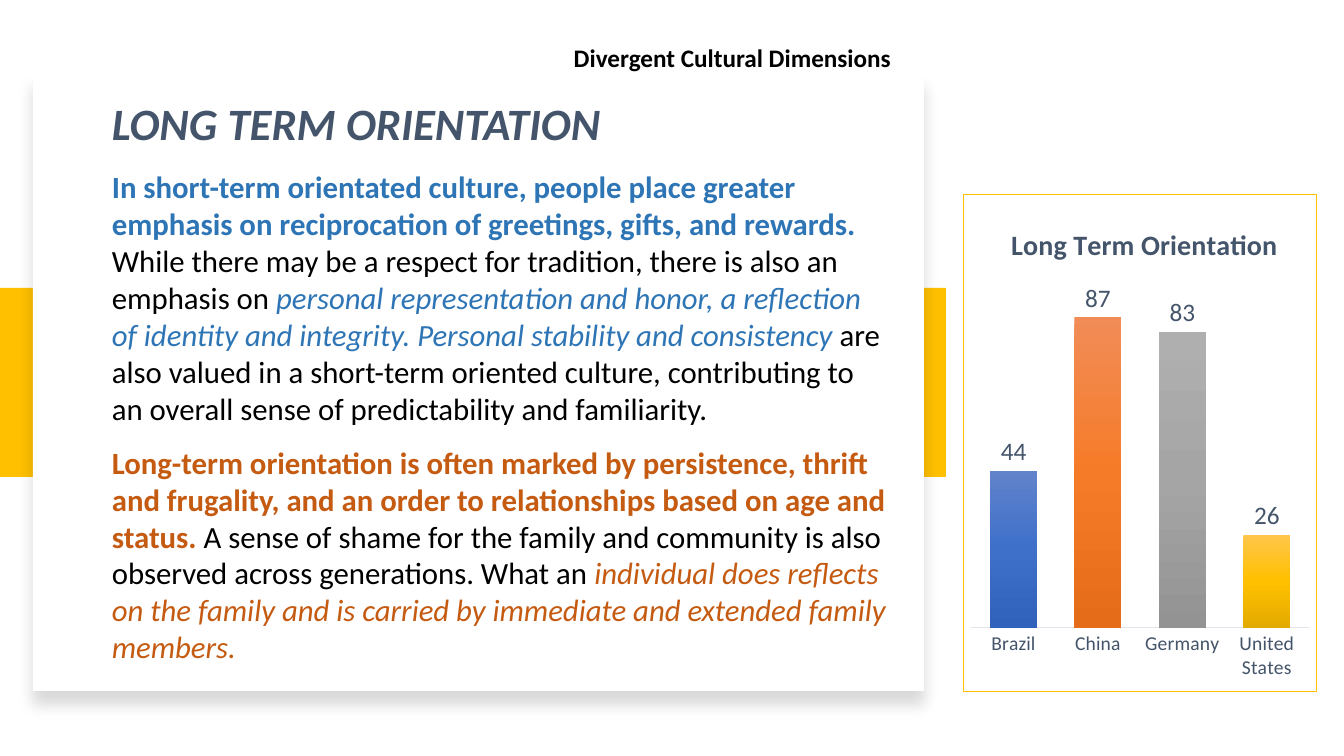
"""Builds the Long Term Orientation slide with its text card and column chart."""
from lxml import etree
from pptx import Presentation
from pptx import util as u
from pptx.chart.data import CategoryChartData
from pptx.dml.color import RGBColor
from pptx.enum import chart as c, shapes, text
from pptx.oxml import parse_xml
from pptx.oxml.ns import nsdecls, qn

BLACK = RGBColor(0x00, 0x00, 0x00)
WHITE = RGBColor(0xFF, 0xFF, 0xFF)
GOLD = RGBColor(0xFF, 0xC0, 0x00)
SLATE = RGBColor(0x44, 0x54, 0x6A)
BLUE = RGBColor(0x2E, 0x75, 0xB6)
RUST = RGBColor(0xC5, 0x5A, 0x11)
MIST = RGBColor(0xE0, 0xE5, 0xEB)
FONT = "Calibri"
PX = 914400 / 100.8

SLIDE = (1344, 756)
BAND = (0, 288, 946, 189)
CARD = (33, 74, 891, 617)
CHART = (963, 194, 353, 497)
PLOT = (971, 271, 338, 357)
CHART_TITLE = (1006, 220)

TOPIC = [[("Divergent Cultural Dimensions", BLACK, True, False)]]
HEADING = [[("LONG TERM ORIENTATION", SLATE, True, True)]]
BODY = [
    [("In short-term orientated culture, people place greater emphasis on reciprocation of "
      "greetings, gifts, and rewards. ", BLUE, True, False),
     ("While there may be a respect for tradition, there is also an emphasis on ",
      BLACK, False, False),
     ("personal representation and honor, a reflection of identity and integrity. "
      "Personal stability and consistency ", BLUE, False, True),
     ("are also valued in a short-term oriented culture, contributing to an overall sense of "
      "predictability and familiarity.", BLACK, False, False)],
    [("Long-term orientation is often marked by persistence, thrift and frugality, and an order "
      "to relationships based on age and status. ", RUST, True, False),
     ("A sense of shame for the family and community is also observed across generations. "
      "What an ", BLACK, False, False),
     ("individual does reflects on the family and is carried by immediate and extended family "
      "members.", RUST, False, True)],
]
SCORES = [
    ("Brazil", 44, ("6183CB", "3E70CA", "3062BB")),
    ("China", 87, ("F18C57", "F67B28", "E56C19")),
    ("Germany", 83, ("AFAFAF", "A5A5A5", "939393")),
    ("United States", 26, ("FFC64B", "FFC000", "E3AB00")),
]


def emu(lengths):
    return [round(length * PX) for length in lengths]


def style(font, size, color, bold=False, italic=False):
    font.name, font.size, font.bold, font.italic = FONT, u.Pt(size), bold, italic
    font.color.rgb = color


def add_panel(slide, box, color):
    panel = slide.shapes.add_shape(shapes.MSO_SHAPE.RECTANGLE, *emu(box))
    panel.shadow.inherit = False
    panel.fill.solid()
    panel.fill.fore_color.rgb = color
    panel.line.fill.background()
    return panel


def add_card(slide):
    card = add_panel(slide, CARD, WHITE)
    effects = card._element.spPr.find(qn("a:effectLst"))
    effects.append(parse_xml(
        f'<a:outerShdw {nsdecls("a")} blurRad="{u.Pt(11)}" dist="{u.Pt(10)}" dir="5400000" '
        'algn="t" rotWithShape="0"><a:srgbClr val="000000"><a:alpha val="15000"/>'
        '</a:srgbClr></a:outerShdw>'))


def add_text(slide, box, paragraphs, size, before=0):
    frame = slide.shapes.add_textbox(*emu(box)).text_frame
    frame.word_wrap = True
    for index, runs in enumerate(paragraphs):
        paragraph = frame.add_paragraph() if index else frame.paragraphs[0]
        if index:
            paragraph.space_before = u.Pt(before)
        for words, color, bold, italic in runs:
            run = paragraph.add_run()
            run.text = words
            style(run.font, size, color, bold, italic)
    return frame


def manual_layout(x, y, size=()):
    left, top, width, height = CHART
    parts = [("xMode", "edge"), ("yMode", "edge"),
             ("x", round((x - left) / width, 3)), ("y", round((y - top) / height, 3))]
    if size:
        parts.insert(0, ("layoutTarget", "inner"))
        parts += [("w", round(size[0] / width, 3)), ("h", round(size[1] / height, 3))]
    inner = "".join(f'<c:{tag} val="{value}"/>' for tag, value in parts)
    return parse_xml(f'<c:layout {nsdecls("c")}><c:manualLayout>{inner}'
                     '</c:manualLayout></c:layout>')


def place(parent, layout):
    old = parent.find(qn("c:layout"))
    if old is not None:
        parent.remove(old)
    if parent.tag == qn("c:title"):
        parent.find(qn("c:tx")).addnext(layout)
    else:
        parent.insert(0, layout)


def add_scores(slide):
    data = CategoryChartData()
    data.categories = [country for country, _, _ in SCORES]
    data.add_series("Series 1", [score for _, score, _ in SCORES])
    chart = slide.shapes.add_chart(
        c.XL_CHART_TYPE.COLUMN_CLUSTERED, *emu(CHART), data).chart
    style(chart.font, 18, BLACK)
    chart.has_legend = False

    chart.has_title = True
    title = chart.chart_title
    title.include_in_layout = False
    run = title.text_frame.paragraphs[0].add_run()
    run.text = "Long Term Orientation"
    style(run.font, 20, SLATE, True)

    countries, scale = chart.category_axis, chart.value_axis
    countries.major_tick_mark = c.XL_TICK_MARK.NONE
    style(countries.tick_labels.font, 14, SLATE)
    countries.format.line.color.rgb = MIST
    countries.format.line.width = u.Pt(0.75)
    scale.visible = scale.has_major_gridlines = False
    scale.minimum_scale, scale.maximum_scale = 0, 100

    columns = chart.plots[0]
    columns.vary_by_categories = False
    columns.gap_width, columns.overlap = 80, -50
    columns.has_data_labels = True
    labels = columns.data_labels
    labels.show_value = True
    labels.position = c.XL_LABEL_POSITION.OUTSIDE_END
    style(labels.font, 18, SLATE)

    for index in range(len(SCORES)):
        fill = columns.series[0].points[index].format.fill
        fill.gradient()
        fill.gradient_angle = 270
    space = chart._chartSpace
    for stops, (_, _, colors) in zip(space.iter(qn("a:gsLst")), SCORES):
        for stop in list(stops):
            stops.remove(stop)
        for step, color in enumerate(colors):
            stop = etree.SubElement(stops, qn("a:gs"), pos=str(step * 50000))
            etree.SubElement(stop, qn("a:srgbClr"), val=color)

    frame = space.find(qn("c:chart"))
    place(frame.find(qn("c:title")), manual_layout(*CHART_TITLE))
    place(frame.find(qn("c:plotArea")), manual_layout(*PLOT[:2], PLOT[2:]))
    frame.addnext(parse_xml(
        f'<c:spPr {nsdecls("c", "a")}><a:solidFill><a:srgbClr val="{WHITE}"/></a:solidFill>'
        f'<a:ln w="{u.Pt(0.25)}"><a:solidFill><a:srgbClr val="{GOLD}"/></a:solidFill></a:ln>'
        '</c:spPr>'))


def main():
    deck = Presentation()
    deck.slide_width, deck.slide_height = emu(SLIDE)
    slide = deck.slides.add_slide(deck.slide_layouts[6])
    add_panel(slide, BAND, GOLD)
    add_card(slide)
    add_scores(slide)

    topic = add_text(slide, (426, 29, 475, 60), TOPIC, 18)
    topic.vertical_anchor = text.MSO_ANCHOR.MIDDLE
    topic.paragraphs[0].alignment = text.PP_ALIGN.RIGHT
    topic.paragraphs[0].line_spacing = 0.9
    topic.paragraphs[0].space_after = u.Pt(6)

    body = add_text(slide, (102, 163, 799, 512), BODY, 22, 12)
    heading = add_text(slide, (102, 91, 672, 64), HEADING, 32)
    for frame in (body, heading):
        frame.auto_size = text.MSO_AUTO_SIZE.SHAPE_TO_FIT_TEXT
    deck.save("out.pptx")


if __name__ == "__main__":
    main()
